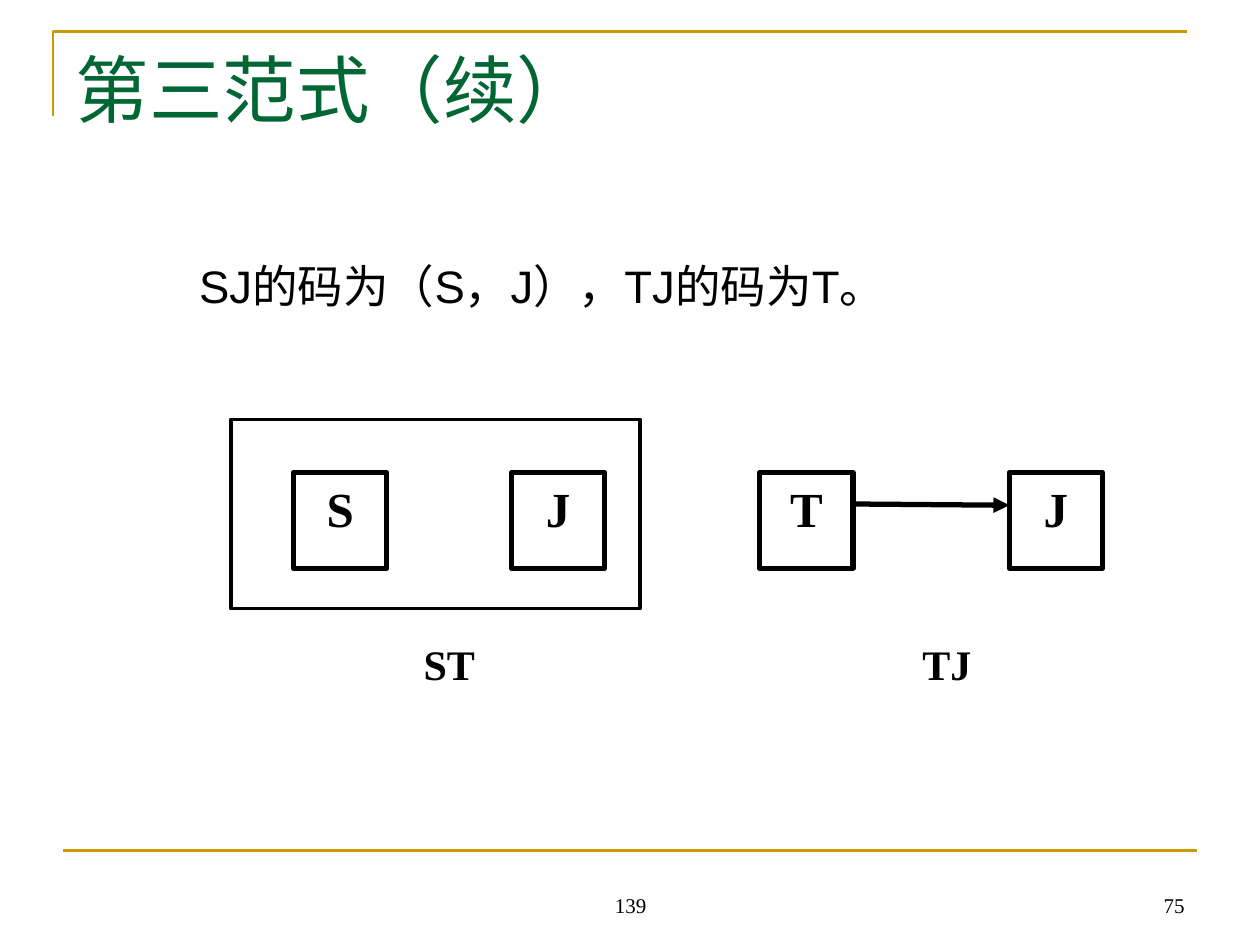
from pptx import Presentation
from pptx import util as u
from pptx.dml.color import RGBColor
from pptx.enum import shapes, text
from pptx.oxml.ns import qn
from lxml import etree

BLACK = RGBColor(0x00, 0x00, 0x00)
GREEN = RGBColor(0x00, 0x66, 0x33)
GOLD = RGBColor(0xCC, 0x99, 0x00)
SERIF = "Times New Roman"
TOP = text.MSO_ANCHOR.TOP
LEFT, MID, RIGHT = text.PP_ALIGN.LEFT, text.PP_ALIGN.CENTER, text.PP_ALIGN.RIGHT


def write(shape, words, size, font=SERIF, color=BLACK, bold=False, align=MID, anchor=TOP):
    frame = shape.text_frame
    frame.word_wrap = True
    frame.auto_size = text.MSO_AUTO_SIZE.NONE
    frame.vertical_anchor = anchor
    para = frame.paragraphs[0]
    para.alignment = align
    run = para.add_run()
    run.text = words
    run.font.name = font
    run.font.size = u.Pt(size)
    run.font.bold = bold
    run.font.color.rgb = color
    return para


def line(start, end, color, width):
    points = [u.Inches(n) for n in start + end]
    rule = slide.shapes.add_connector(shapes.MSO_CONNECTOR.STRAIGHT, *points)
    rule.line.color.rgb = color
    rule.line.width = u.Pt(width)
    etree.SubElement(rule._element.spPr, qn("a:effectLst"))
    return rule


deck = Presentation()
deck.slide_width, deck.slide_height = u.Inches(10), u.Inches(7.5)
slide = deck.slides.add_slide(deck.slide_layouts[1])
title, body = slide.placeholders

path = slide.shapes.build_freeform(u.Inches(0.42), u.Inches(0.92))
path.add_line_segments([(u.Inches(0.42), u.Inches(0.25)), (u.Inches(9.42), u.Inches(0.25))], close=False)
frame = path.convert_to_shape()
frame.shadow.inherit = False
frame.fill.background()
frame.line.color.rgb = GOLD
frame.line.width = u.Pt(1.5)
line((0.5, 6.75), (9.5, 6.75), GOLD, 1.5)

for holder, area in ((title, (0.5, 0.3, 9, 1.25)), (body, (1, 2, 8.5, 4.5))):
    holder.left, holder.top, holder.width, holder.height = [u.Inches(n) for n in area]
write(title, "第三范式（续）", 42, color=GREEN, align=LEFT)
para = write(body, "SJ的码为（S，J），TJ的码为T。", 26, font="Arial", align=LEFT)
para.space_before = u.Pt(5.2)
props = para._p.get_or_add_pPr()
props.set("marL", str(u.Inches(0.48)))
props.set("indent", "0")
etree.SubElement(props, qn("a:buNone"))

boxes = [
    ("S", 2.33, 3.75, 0.74, 0.76, 3),
    ("J", 4.06, 3.75, 0.74, 0.76, 3),
    ("T", 6.03, 3.75, 0.74, 0.76, 3),
    ("J", 8.01, 3.75, 0.74, 0.76, 3),
    ("", 1.83, 3.33, 3.25, 1.5, 2.25),
]
for name, x, y, w, h, width in boxes:
    box = slide.shapes.add_shape(shapes.MSO_SHAPE.RECTANGLE, *[u.Inches(n) for n in (x, y, w, h)])
    box.shadow.inherit = False
    box.fill.background()
    box.line.color.rgb = BLACK
    box.line.width = u.Pt(width)
    if name:
        write(box, name, 28, bold=True)

arrow = line((6.78, 4), (8.01, 4.01), BLACK, 3)
etree.SubElement(arrow.line._get_or_add_ln(), qn("a:tailEnd"), type="triangle")

labels = [
    ("ST", 3.07, 5.02, 0.99, 0.76, 24, True, MID, TOP),
    ("TJ", 7.02, 5.02, 0.99, 0.76, 24, True, MID, TOP),
    ("75", 7.17, 6.83, 2.33, 0.5, 12, False, RIGHT, text.MSO_ANCHOR.BOTTOM),
    ("139", 3.42, 6.83, 3.17, 0.5, 12, False, MID, text.MSO_ANCHOR.BOTTOM),
]
for words, x, y, w, h, size, bold, align, anchor in labels:
    label = slide.shapes.add_textbox(*[u.Inches(n) for n in (x, y, w, h)])
    write(label, words, size, bold=bold, align=align, anchor=anchor)

deck.save("out.pptx")
